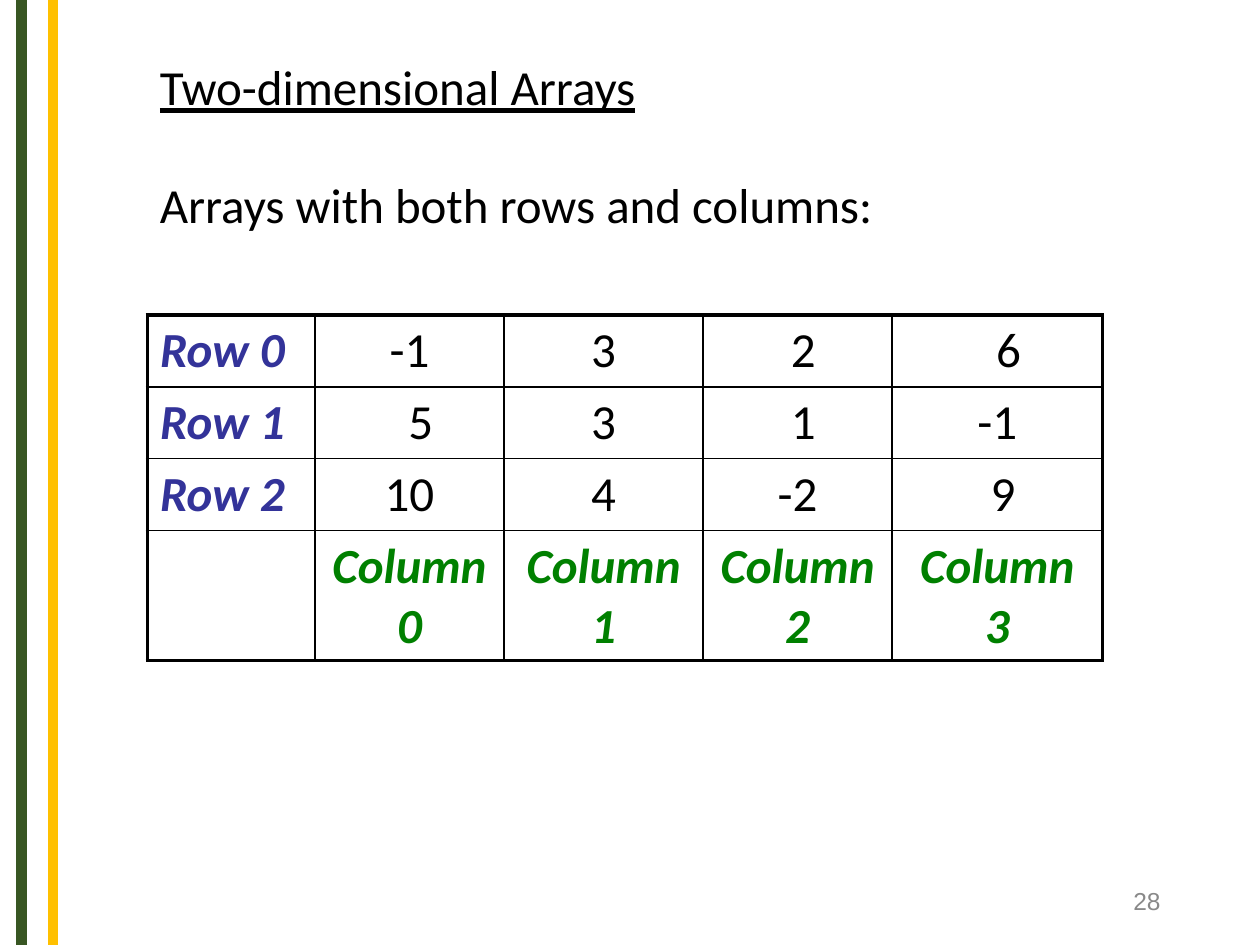
import dataclasses

import pptx
import pptx.dml.color
import pptx.enum.text
import pptx.oxml
import pptx.oxml.ns
import pptx.util

Inches = pptx.util.Inches
Pt = pptx.util.Pt
ALIGN = pptx.enum.text.PP_ALIGN


@dataclasses.dataclass(frozen=True)
class Theme:
    wide: float = 10
    high: float = 7.5
    ink: str = "000000"
    row: str = "333399"
    col: str = "008000"
    page: str = "898989"
    green: str = "385623"
    gold: str = "FFC000"
    font: str = "Calibri"
    sans: str = "Arial"
    body: int = 28
    small: int = 14
    thin: float = 1
    thick: float = 2.25
    bar: float = 6
    space: float = 0.09  # width of a space in body type, inches


THEME = Theme()
LEFT = 1.17
WIDTHS = (1.33, 1.5, 1.58, 1.5, 1.67)
HEIGHTS = (0.57, 0.57, 0.57, 1.03)
VALUES = ((-1, 3, 2, 6), (5, 3, 1, -1), (10, 4, -2, 9))
# Spaces by which each value is indented
INDENTS = ((0, 0, 1, 2), (2, 0, 1, 0), (0, 0, 0, 1))


def rgb(code):
    return pptx.dml.color.RGBColor.from_string(code)


def write(para, text, color=THEME.ink, size=THEME.body, face=THEME.font,
          align=ALIGN.LEFT, bold=False, italic=False, under=False, before=0):
    para.alignment = align
    para.space_before = Pt(before)
    run = para.add_run()
    run.text = text
    font = run.font
    font.name, font.size = face, Pt(size)
    font.bold, font.italic, font.underline = bold, italic, under
    font.color.rgb = rgb(color)


def add_bar(slide, share, color):
    """Draw a full-height stripe at a share of the slide's width."""
    x = Inches(THEME.wide * share)
    line = slide.shapes.add_connector(
        pptx.enum.shapes.MSO_CONNECTOR.STRAIGHT, x, 0, x, Inches(THEME.high))
    line.line.color.rgb = rgb(color)
    line.line.width = Pt(THEME.bar)
    pptx.oxml.ns.qn("a:effectLst")
    line._element.spPr.append(pptx.oxml.parse_xml(
        f'<a:effectLst {pptx.oxml.ns.nsdecls("a")}/>'))


def add_box(slide, left, top, width, height):
    box = slide.shapes.add_textbox(*map(Inches, (left, top, width, height)))
    box.text_frame.word_wrap = True
    return box.text_frame


def set_edges(cell, outer):
    """Border a cell, thick on the sides named in outer."""
    props = cell._tc.get_or_add_tcPr()
    for side in "LRTB":
        width = Pt(THEME.thick if side in outer else THEME.thin)
        props.append(pptx.oxml.parse_xml(
            f'<a:ln{side} {pptx.oxml.ns.nsdecls("a")} w="{int(width)}">'
            f'<a:solidFill><a:srgbClr val="{THEME.ink}"/></a:solidFill>'
            f'</a:ln{side}>'))
    cell.fill.background()


def fill_cell(cell, row, col):
    para = cell.text_frame.paragraphs[0]
    if col and row < len(VALUES):
        cell.margin_left = Inches(0.1 + THEME.space * INDENTS[row][col - 1])
        write(para, str(VALUES[row][col - 1]), align=ALIGN.CENTER)
    elif col:
        write(para, f"Column {col - 1}", color=THEME.col,
              align=ALIGN.CENTER, bold=True, italic=True)
    elif row < len(VALUES):
        write(para, f"Row {row}", color=THEME.row, bold=True, italic=True)


def add_grid(slide):
    rows, cols = len(HEIGHTS), len(WIDTHS)
    table = slide.shapes.add_table(
        rows, cols, Inches(LEFT), Inches(2.5),
        Inches(sum(WIDTHS)), Inches(sum(HEIGHTS))).table
    table.first_row = table.horz_banding = False
    for band, width in zip(table.columns, WIDTHS):
        band.width = Inches(width)
    for band, height in zip(table.rows, HEIGHTS):
        band.height = Inches(height)
    for row in range(rows):
        for col in range(cols):
            cell = table.cell(row, col)
            ends = {"L": col == 0, "R": col == cols - 1,
                    "T": row == 0, "B": row == rows - 1}
            set_edges(cell, [side for side, end in ends.items() if end])
            fill_cell(cell, row, col)


def main():
    deck = pptx.Presentation()
    deck.slide_width = Inches(THEME.wide)
    deck.slide_height = Inches(THEME.high)
    slide = deck.slides.add_slide(deck.slide_layouts[6])

    add_bar(slide, 0.017, THEME.green)
    add_bar(slide, 0.042, THEME.gold)

    page = add_box(slide, 7.06, 6.95, 2.25, 0.4)
    page.vertical_anchor = pptx.enum.text.MSO_ANCHOR.MIDDLE
    write(page.paragraphs[0], "28", color=THEME.page, size=THEME.small,
          face=THEME.sans, align=ALIGN.RIGHT)

    intro = add_box(slide, LEFT, 0.4, 7.01, 1.51)
    write(intro.paragraphs[0], "Two-dimensional Arrays", under=True)
    write(intro.add_paragraph(), "Arrays with both rows and columns:",
          before=34)

    add_grid(slide)
    deck.save("out.pptx")


if __name__ == "__main__":
    main()
